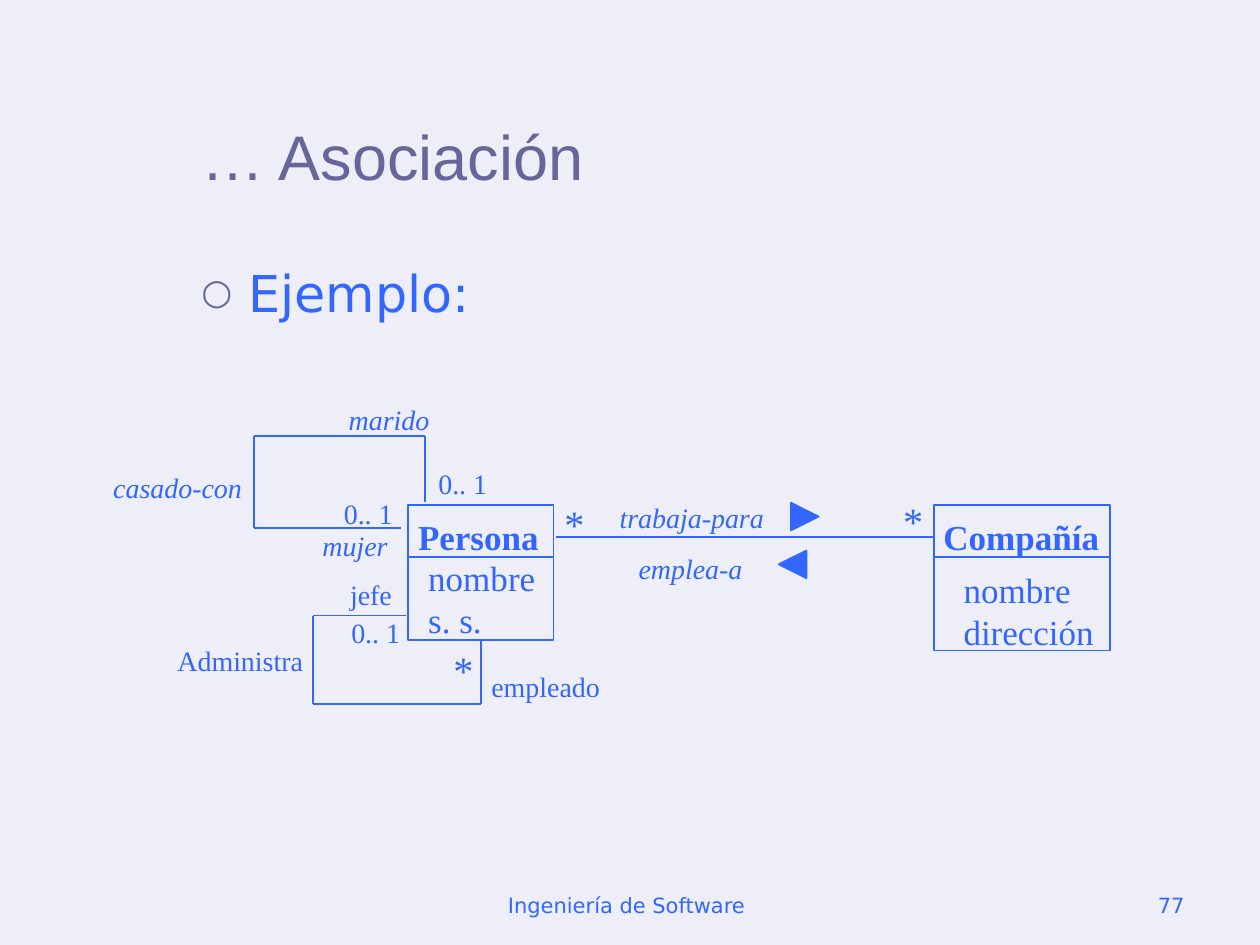
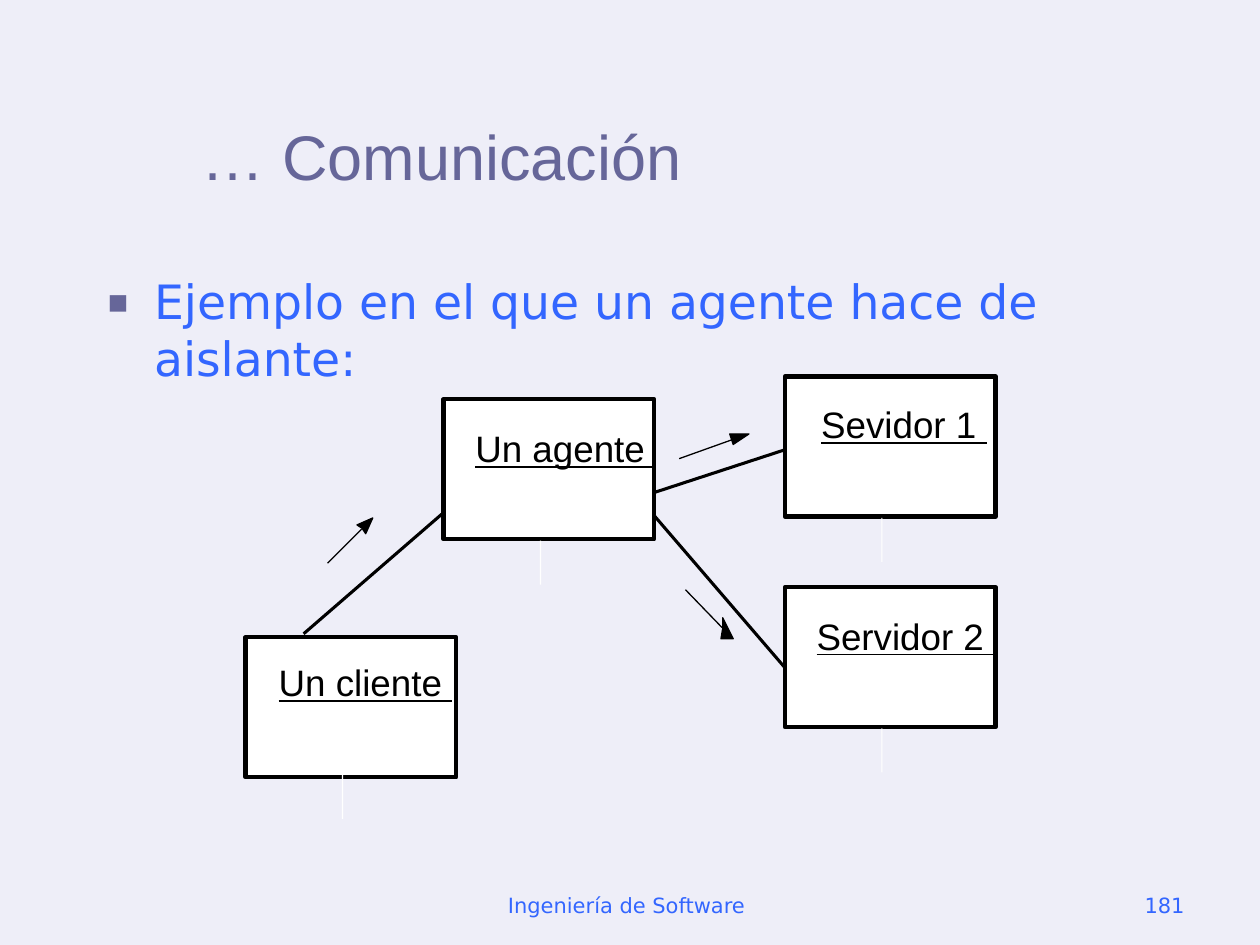
import itertools

import pptx
import pptx.dml.color
import pptx.enum.shapes
import pptx.enum.text
import pptx.oxml
import pptx.oxml.ns
import pptx.util
from lxml import etree

Pt = pptx.util.Pt
SHAPES = pptx.enum.shapes.MSO_SHAPE
ALIGN = pptx.enum.text.PP_ALIGN
ANCHOR = pptx.enum.text.MSO_ANCHOR

# Shared look
BACKGROUND, BLUE, VIOLET, BLACK, WHITE = "EEEEF8", "3366FF", "666699", "000000", "FFFFFF"
SANS, SERIF, HEADING = "DejaVu Sans", "Times New Roman", "Arial"
FOOTER = "Ingeniería de Software "
INSETS = (7.2, 3.6)

# Slide 1: class diagram
ASSOCIATION = {
    "title": "… Asociación", "number": "77",
    "bullet": ("○", "Ejemplo:", 29, (108, 146, 576, 324)),
}
# Class name, attributes, box, offset of the attributes
CLASSES = [
    ("Persona", ["nombre", "s. s."], (233.3, 288.8, 83, 77), (4.3, 25.8)),
    ("Compañía", ["nombre", "dirección"], (533.5, 288.8, 101, 83), (10, 32.3)),
]
NAME_ROW = 29.5
ROUTES = [
    [(317.5, 306.7), (533, 306.7)],
    [(231.8, 351.8), (179, 351.8), (179, 402.5), (275, 402.5), (275, 366.5)],
    [(242.8, 286.6), (242.8, 249.2), (145, 249.2), (145, 301.8), (229, 301.8)],
]
# Text, left, top, width
ROLES = [
    ("jefe", 193, 326.2, 45), ("Administra", 94.3, 364.4, 90), ("empleado", 273.7, 378.8, 80),
    ("0.. 1", 243.4, 263, 45), ("0.. 1", 189.4, 280, 45), ("0.. 1", 193.7, 348.4, 45),
]
RELATIONS = [
    ("trabaja-para", 347, 282.4, 111), ("emplea-a", 357.8, 311.8, 82), ("marido", 192.2, 226.2, 82),
    ("casado-con", 57.6, 265.6, 106), ("mujer", 177.2, 298.2, 82),
]
MANY_MARKS = [("*", 315.4, 281.5, 26), ("*", 509, 280, 26), ("*", 252, 365, 26)]
READING_ARROWS = [(SHAPES.RIGHT_ARROW, 452, 287.3), (SHAPES.LEFT_ARROW, 445, 314.6)]
ARROW_SIZE = 15.8

# Slide 2: communication diagram
COMMUNICATION = {
    "title": "… Comunicación", "number": "181",
    "bullet": ("▪", "Ejemplo en el que un agente hace de aislante:", 27, (54, 152, 612, 324)),
}
# Name, left and top of the box, offset and width of the name, offset of the tail
NODES = [
    ("Un agente ", 253.5, 228.2, (18, 15.2), 103, 80.7),
    ("Un cliente ", 140.4, 364.2, (18.7, 13), 99.4, 78.5),
    ("Sevidor 1 ", 448.6, 215.2, (20.8, 14.4), 94.3, 80.7),
    ("Servidor 2 ", 448.6, 335.5, (18, 15.2), 101.5, 80.7),
]
NODE_SIZE = (120.3, 80)
TAIL_LEFT, TAIL_SIZE = 55, (0.7, 25.2)
LINKS = [
    [(173.5, 362.2), (253.4, 293)],
    [(373.7, 281.5), (448.6, 257)],
    [(448.6, 381.6), (373.7, 294.5)],
]
# Start of each message, then its head with the joint first
MESSAGES = [
    ((187.2, 321.8), [(206.6, 302.4), (204.5, 300.2), (213.1, 295.9), (208.8, 305.3)]),
    ((388.1, 262.1), [(418.3, 251.3), (416.9, 248.4), (427.7, 248.4), (419, 254.2)]),
    ((391.7, 337), [(412.6, 358.6), (411.8, 365), (419, 365), (413.3, 352.8)]),
]


def color(value):
    return pptx.dml.color.RGBColor.from_string(value)


def style_line(line, hue, width):
    line.color.rgb = color(hue)
    line.width = Pt(width)


def style_shape(shape, fill, hue=None, width=1):
    shape.shadow.inherit = False
    if fill:
        shape.fill.solid()
        shape.fill.fore_color.rgb = color(fill)
    else:
        shape.fill.background()
    if hue:
        style_line(shape.line, hue, width)
    else:
        shape.line.fill.background()


def add_box(slide, kind, box, fill, hue=None, width=1):
    shape = slide.shapes.add_shape(kind, *map(Pt, box))
    style_shape(shape, fill, hue, width)
    return shape


def add_route(slide, points, hue, width):
    for start, end in itertools.pairwise(points):
        segment = slide.shapes.add_connector(
            pptx.enum.shapes.MSO_CONNECTOR.STRAIGHT, *map(Pt, start + end))
        style_line(segment.line, hue, width)
        etree.SubElement(segment._element.spPr, pptx.oxml.ns.qn("a:effectLst"))


def write(frame, lines, size, font, hue, align=ALIGN.LEFT, anchor=ANCHOR.TOP,
          insets=INSETS, wrap=True, **emphasis):
    frame.word_wrap = wrap
    frame.auto_size = pptx.enum.text.MSO_AUTO_SIZE.NONE
    frame.vertical_anchor = anchor
    frame.margin_left = frame.margin_right = Pt(insets[0])
    frame.margin_top = frame.margin_bottom = Pt(insets[1])
    for index, line in enumerate(lines):
        paragraph = frame.add_paragraph() if index else frame.paragraphs[0]
        paragraph.alignment = align
        run = paragraph.add_run()
        run.text = line
        run.font.size, run.font.name = Pt(size), font
        run.font.color.rgb = color(hue)
        for trait, value in emphasis.items():
            setattr(run.font, trait, value)


def add_text(slide, lines, box, *look, **options):
    frame = slide.shapes.add_textbox(*map(Pt, box)).text_frame
    write(frame, lines, *look, **options)
    return frame


def add_bullet(paragraph, mark):
    properties = paragraph._p.get_or_add_pPr()
    properties.set("marL", str(Pt(27)))
    properties.set("indent", str(Pt(-27)))
    namespace = pptx.oxml.ns.nsdecls("a")
    for markup in (
        f'<a:buClr {namespace}><a:srgbClr val="{VIOLET}"/></a:buClr>',
        f'<a:buSzPct {namespace} val="70000"/>',
        f'<a:buFont {namespace} typeface="{SANS}"/>',
        f'<a:buChar {namespace} char="{mark}"/>',
    ):
        properties.append(pptx.oxml.parse_xml(markup))


def add_slide(deck, content):
    """Background, title, bullet and footers common to both slides."""
    slide = deck.slides.add_slide(deck.slide_layouts.get_by_name("Title Only"))
    slide.background.fill.solid()
    slide.background.fill.fore_color.rgb = color(BACKGROUND)
    title = slide.shapes.title
    title.left, title.top, title.width, title.height = map(Pt, (108, 24, 576, 90))
    write(title.text_frame, [content["title"]], 36, HEADING, VIOLET, anchor=ANCHOR.BOTTOM)
    for text, left, width, align in (
        (FOOTER, 246, 228, ALIGN.CENTER), (content["number"], 516, 168, ALIGN.RIGHT),
    ):
        add_text(slide, [text], (left, 492, width, 36), 12, SANS, BLUE,
                 align=align, anchor=ANCHOR.BOTTOM)
    mark, text, size, box = content["bullet"]
    body = add_text(slide, [text], box, size, SANS, BLUE)
    add_bullet(body.paragraphs[0], mark)
    return slide


def build_association(deck):
    slide = add_slide(deck, ASSOCIATION)

    # Classes
    for name, attributes, box, (dx, dy) in CLASSES:
        left, top, width, height = box
        add_box(slide, SHAPES.RECTANGLE, box, None, BLUE)
        add_text(slide, [name], (left - 1.5, top + 2.1, width + 4, 31), 20, SERIF, BLUE, bold=True)
        add_text(slide, attributes, (left + dx, top + dy, width, 55), 20, SERIF, BLUE)
        divider = top + NAME_ROW
        add_route(slide, [(left, divider), (left + width, divider)], BLUE, 1)

    # Associations and their labels
    for route in ROUTES:
        add_route(slide, route, BLUE, 1)
    for labels, size, italic in ((ROLES, 16, False), (RELATIONS, 16, True), (MANY_MARKS, 23, False)):
        for text, left, top, width in labels:
            add_text(slide, [text], (left, top, width, size * 1.15 + 7.2), size, SERIF, BLUE,
                     italic=italic)

    # Reading direction
    for kind, left, top in READING_ARROWS:
        arrow = add_box(slide, kind, (left, top, ARROW_SIZE, ARROW_SIZE), BLUE, BLUE)
        arrow.adjustments[0], arrow.adjustments[1] = 0.5, 1


def build_communication(deck):
    slide = add_slide(deck, COMMUNICATION)

    # Objects
    for name, left, top, (dx, dy), width, tail in NODES:
        add_box(slide, SHAPES.RECTANGLE, (left, top, *NODE_SIZE), WHITE, BLACK, 2.5)
        add_text(slide, [name], (left + dx, top + dy, width, 25.2), 21, HEADING, BLACK,
                 align=ALIGN.CENTER, insets=(0, 0), wrap=False, underline=True)
        add_box(slide, SHAPES.RECTANGLE, (left + TAIL_LEFT, top + tail, *TAIL_SIZE), WHITE)

    # Links and messages
    for link in LINKS:
        add_route(slide, link, BLACK, 1.75)
    for start, head in MESSAGES:
        add_route(slide, [start, head[0]], BLACK, 0.75)
        outline = slide.shapes.build_freeform(*head[0], scale=Pt(1))
        outline.add_line_segments(head[1:], close=True)
        style_shape(outline.convert_to_shape(), BLACK, BLACK, 0.75)


def main():
    deck = pptx.Presentation()
    deck.slide_width, deck.slide_height = Pt(720), Pt(540)
    build_association(deck)
    build_communication(deck)
    deck.save("out.pptx")


if __name__ == "__main__":
    main()
